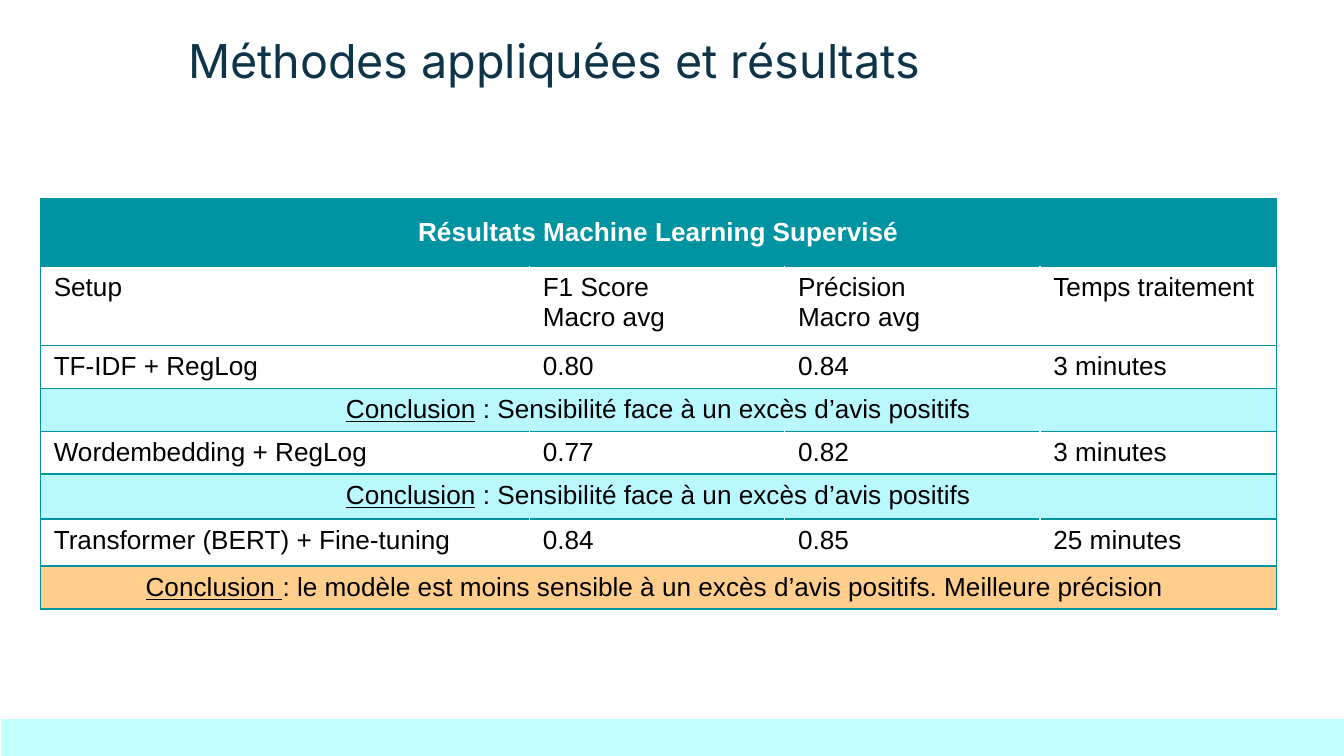
from dataclasses import dataclass

from lxml.etree import SubElement
from pptx import Presentation
from pptx.dml.color import RGBColor
from pptx.enum.shapes import MSO_SHAPE
from pptx.enum.text import MSO_ANCHOR, MSO_AUTO_SIZE, PP_ALIGN
from pptx.oxml.ns import qn
from pptx.util import Pt


@dataclass(frozen=True)
class Theme:
    """Colours, fonts and type sizes of the slide."""
    title: str = "0E3449"
    teal: str = "0094A3"
    strip: str = "C3FFFC"
    note: str = "BAF8FF"
    best: str = "FFCD8C"
    white: str = "FFFFFF"
    black: str = "000000"
    title_font: str = "Inter"
    body_font: str = "Arial"
    title_size: float = 25
    body_size: float = 14
    border_width: float = 0.75


THEME = Theme()
COLUMN_WIDTHS = [262, 136.8, 136.8, 126.7]
BIAS_NOTE = ("Conclusion", " : Sensibilité face à un excès d’avis positifs")
BEST_NOTE = ("Conclusion ", ": le modèle est moins sensible à un excès d’avis positifs. Meilleure précision ")
ROWS = [
    (42.3, ["Setup", "F1 Score\nMacro avg", "Précision\nMacro avg", "Temps traitement"]),
    (23, ["TF-IDF + RegLog", "0.80", "0.84", "3 minutes"]),
    (23, BIAS_NOTE, THEME.note),
    (23, ["Wordembedding + RegLog", "0.77", "0.82", "3 minutes"]),
    (24.1, BIAS_NOTE, THEME.note),
    (25.2, ["Transformer (BERT) + Fine-tuning", "0.84", "0.85", "25 minutes"]),
    (23, BEST_NOTE, THEME.best),
]


def write_text(frame, text, underlined="", font=THEME.body_font, size=THEME.body_size,
               color=THEME.black, bold=False, align=PP_ALIGN.LEFT):
    """Write lines of text, the first opening with an optional underlined part."""
    for index, line in enumerate(text.split("\n")):
        paragraph = frame.paragraphs[0] if index == 0 else frame.add_paragraph()
        paragraph.alignment = align
        lead = underlined if index == 0 else ""
        for part, underline in ((lead, True), (line, False)):
            if part:
                run = paragraph.add_run()
                run.text = part
                run.font.name = font
                run.font.size = Pt(size)
                run.font.bold = bold
                run.font.underline = underline
                run.font.color.rgb = RGBColor.from_string(color)


def format_cell(cell, fill, sides):
    """Draw the borders on the given sides of a cell, then fill it."""
    properties = cell._tc.get_or_add_tcPr()
    for side in sides:
        line = SubElement(properties, qn(f"a:ln{side}"), w=str(Pt(THEME.border_width)))
        SubElement(SubElement(line, qn("a:solidFill")), qn("a:srgbClr"), val=THEME.teal)
    cell.fill.solid()
    cell.fill.fore_color.rgb = RGBColor.from_string(fill)


def fill_banner(cells, fill, text, **text_format):
    """Merge a row of cells into one centred banner."""
    for cell in cells:
        format_cell(cell, fill, "LRTB")
    cells[0].merge(cells[-1])
    write_text(cells[0].text_frame, text, align=PP_ALIGN.CENTER, **text_format)


def fill_record(cells, texts):
    """Fill a row of cells that is outlined without inner vertical lines."""
    for index, (cell, text) in enumerate(zip(cells, texts)):
        left = "L" if index == 0 else ""
        right = "R" if index == len(texts) - 1 else ""
        format_cell(cell, THEME.white, left + right + "TB")
        write_text(cell.text_frame, text)


def add_title(slide, left, top, width, height):
    """Place and format the slide title."""
    title = slide.shapes.title
    title.left, title.top, title.width, title.height = map(Pt, (left, top, width, height))
    frame = title.text_frame
    frame.auto_size = MSO_AUTO_SIZE.NONE
    frame.vertical_anchor = MSO_ANCHOR.TOP
    frame.margin_left = frame.margin_right = frame.margin_top = frame.margin_bottom = Pt(7.2)
    write_text(frame, "Méthodes appliquées et résultats", font=THEME.title_font,
               size=THEME.title_size, color=THEME.title)


def add_footer_strip(slide, left, top, width, height):
    """Add the coloured strip along the bottom edge."""
    strip = slide.shapes.add_shape(MSO_SHAPE.RECTANGLE, *map(Pt, (left, top, width, height)))
    strip.shadow.inherit = False
    strip.fill.solid()
    strip.fill.fore_color.rgb = RGBColor.from_string(THEME.strip)
    strip.line.fill.background()


def add_results_table(slide, left, top, width, header_height):
    """Add the table of results with a conclusion under each method."""
    heights = [header_height] + [row[0] for row in ROWS]
    table = slide.shapes.add_table(len(heights), len(COLUMN_WIDTHS), Pt(left), Pt(top),
                                   Pt(width), Pt(sum(heights))).table
    table.first_row = table.horz_banding = False
    for column, share in zip(table.columns, COLUMN_WIDTHS):
        column.width = Pt(width * share / sum(COLUMN_WIDTHS))
    for row, height in zip(table.rows, heights):
        row.height = Pt(height)
    rows = [list(row.cells) for row in table.rows]
    fill_banner(rows[0], THEME.teal, "Résultats Machine Learning Supervisé",
                color=THEME.white, bold=True)
    rows[0][0].vertical_anchor = MSO_ANCHOR.MIDDLE
    for cells, (_, content, *fill) in zip(rows[1:], ROWS):
        if fill:
            underlined, text = content
            fill_banner(cells, fill[0], text, underlined=underlined)
        else:
            fill_record(cells, content)


def main():
    """Build the slide and save it."""
    presentation = Presentation()
    presentation.slide_width, presentation.slide_height = Pt(720), Pt(405)
    slide = presentation.slides.add_slide(presentation.slide_layouts[5])
    add_title(slide, 93.6, 10, 418.3, 41.8)
    add_footer_strip(slide, 0.7, 385.2, 719.3, 19.8)
    add_results_table(slide, 21.6, 106.3, 662.3, 36.4)
    presentation.save("out.pptx")


if __name__ == "__main__":
    main()
